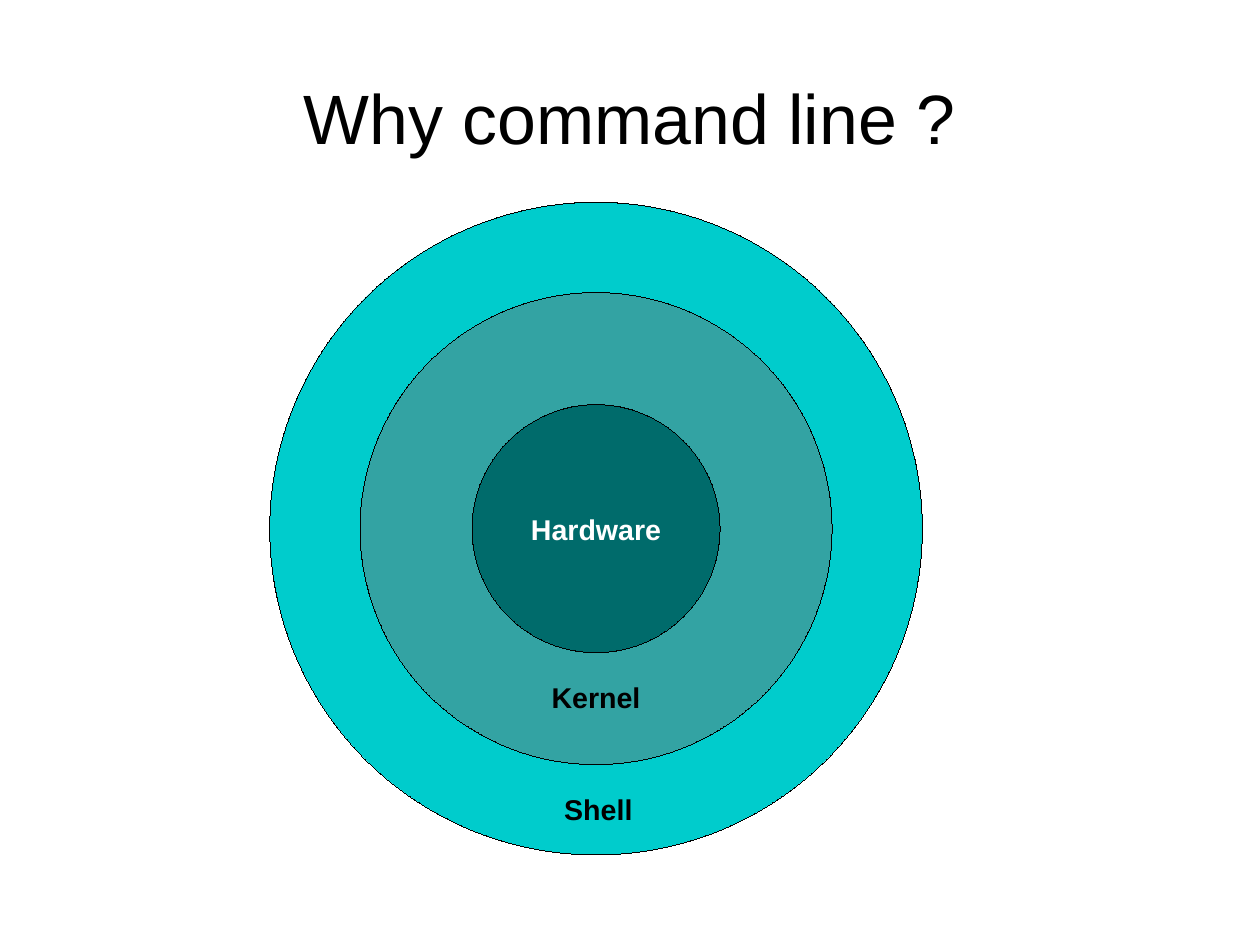
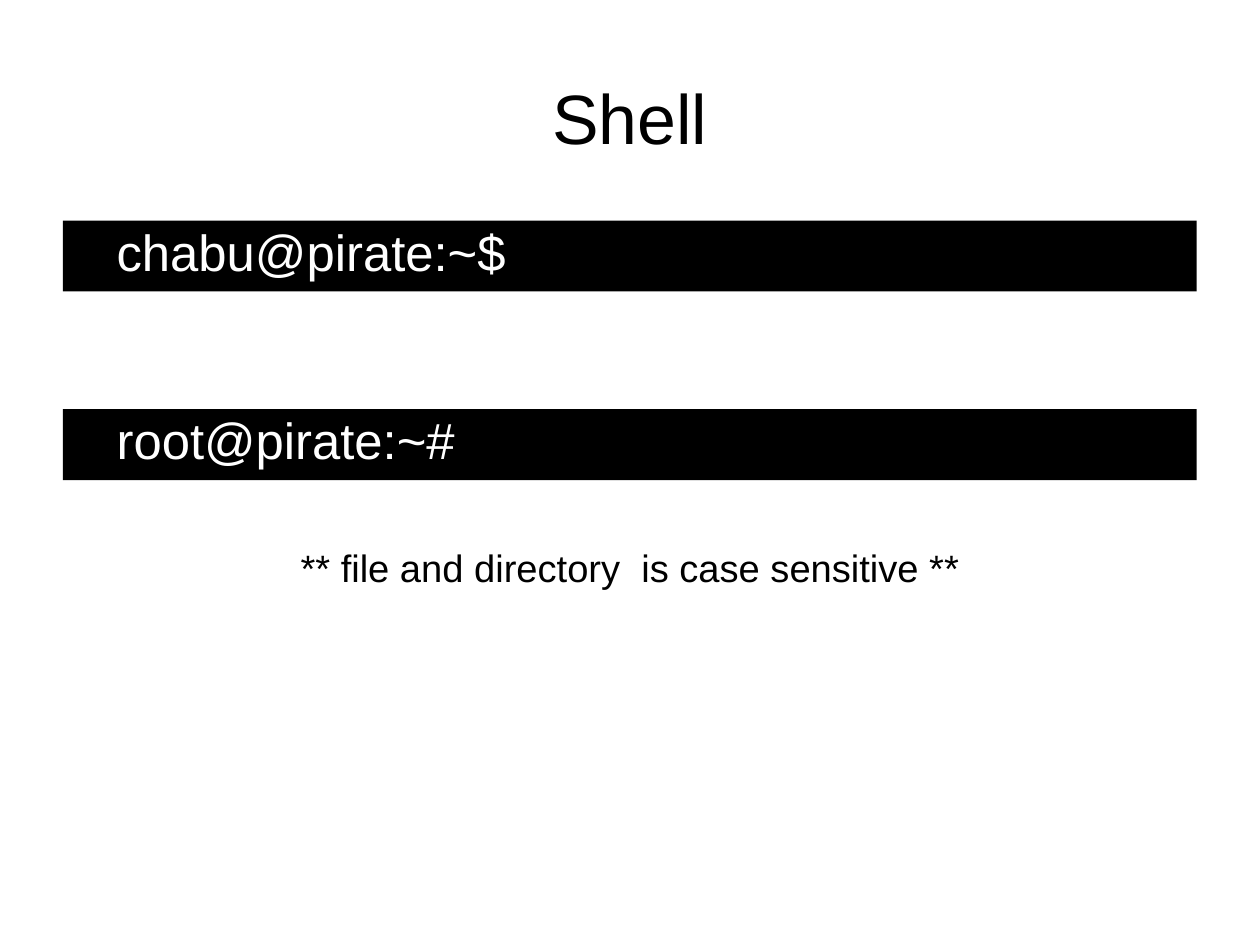
from pptx import Presentation
from pptx.dml.color import RGBColor
from pptx.enum.shapes import MSO_SHAPE
from pptx.enum.text import MSO_ANCHOR, PP_ALIGN
from pptx.util import Cm, Inches, Pt

OVAL, RECTANGLE = MSO_SHAPE.OVAL, MSO_SHAPE.RECTANGLE
TOP, MIDDLE = MSO_ANCHOR.TOP, MSO_ANCHOR.MIDDLE
LEFT, CENTER = PP_ALIGN.LEFT, PP_ALIGN.CENTER

FONT = "Arial"
BLACK, WHITE = "000000", "FFFFFF"
SLIDE_WIDTH, SLIDE_HEIGHT = Cm(28), Cm(21)
MARGIN, CONTENT_WIDTH = 0.55, 9.92

RINGS_TITLE = "Why command line ?"
RINGS_CENTER = (5.215, 4.625)
RINGS = [
    (5.71, "00CCCC", ""),
    (4.13, "33A3A3", ""),
    (2.17, "006B6B", "Hardware"),
]
RING_LABELS = [
    ("Kernel", 4.13, 5.91, 2.17),
    ("Shell", 4.25, 6.89, 1.97),
]
LABEL_HEIGHT, LABEL_SIZE = 0.38, 18

SHELL_TITLE = "Shell"
PROMPTS = ["chabu@pirate:~$", "root@pirate:~#"]
PROMPT_TOP, PROMPT_STEP, PROMPT_HEIGHT, PROMPT_INDENT = 1.93, 1.65, 0.62, 0.47
CASE_NOTE = "** file and directory  is case sensitive **"


def color(value):
    return RGBColor.from_string(value)


def write(shape, text, size, text_color=BLACK, bold=False, align=CENTER,
          anchor=MIDDLE, indent=0):
    frame = shape.text_frame
    frame.word_wrap = True
    frame.vertical_anchor = anchor
    frame.margin_left = Inches(indent)
    frame.margin_right = frame.margin_top = frame.margin_bottom = 0
    paragraph = frame.paragraphs[0]
    paragraph.alignment = align
    run = paragraph.add_run()
    run.text = text
    run.font.name = FONT
    run.font.size = Pt(size)
    run.font.bold = bold
    run.font.color.rgb = color(text_color)


def add_text(slide, left, top, width, height, text, size, **style):
    box = slide.shapes.add_textbox(*map(Inches, (left, top, width, height)))
    write(box, text, size, **style)


def add_filled(slide, kind, left, top, width, height, fill):
    shape = slide.shapes.add_shape(kind, *map(Inches, (left, top, width, height)))
    shape.shadow.inherit = False
    shape.fill.solid()
    shape.fill.fore_color.rgb = color(fill)
    shape.line.fill.background()
    return shape


def add_titled_slide(presentation, title):
    slide = presentation.slides.add_slide(presentation.slide_layouts[6])
    add_text(slide, MARGIN, 0.38, CONTENT_WIDTH, 1.28, title, 44)
    return slide


def build_rings(presentation):
    slide = add_titled_slide(presentation, RINGS_TITLE)
    center_x, center_y = RINGS_CENTER
    for diameter, fill, text in RINGS:
        radius = diameter / 2
        ring = add_filled(slide, OVAL, center_x - radius, center_y - radius,
                          diameter, diameter, fill)
        ring.line.color.rgb = color(BLACK)
        ring.line.width = Pt(0.01)
        if text:
            write(ring, text, LABEL_SIZE, text_color=WHITE, bold=True)
    for text, left, top, width in RING_LABELS:
        add_text(slide, left, top, width, LABEL_HEIGHT, text, LABEL_SIZE, bold=True)


def build_shell(presentation):
    slide = add_titled_slide(presentation, SHELL_TITLE)
    for index, prompt in enumerate(PROMPTS):
        bar = add_filled(slide, RECTANGLE, MARGIN, PROMPT_TOP + index * PROMPT_STEP,
                         CONTENT_WIDTH, PROMPT_HEIGHT, BLACK)
        write(bar, prompt, 32, text_color=WHITE, align=LEFT, anchor=TOP,
              indent=PROMPT_INDENT)
    add_text(slide, MARGIN, 4.73, CONTENT_WIDTH, 0.47, CASE_NOTE, 24)


def main():
    presentation = Presentation()
    presentation.slide_width = SLIDE_WIDTH
    presentation.slide_height = SLIDE_HEIGHT
    build_rings(presentation)
    build_shell(presentation)
    presentation.save("out.pptx")


if __name__ == "__main__":
    main()
